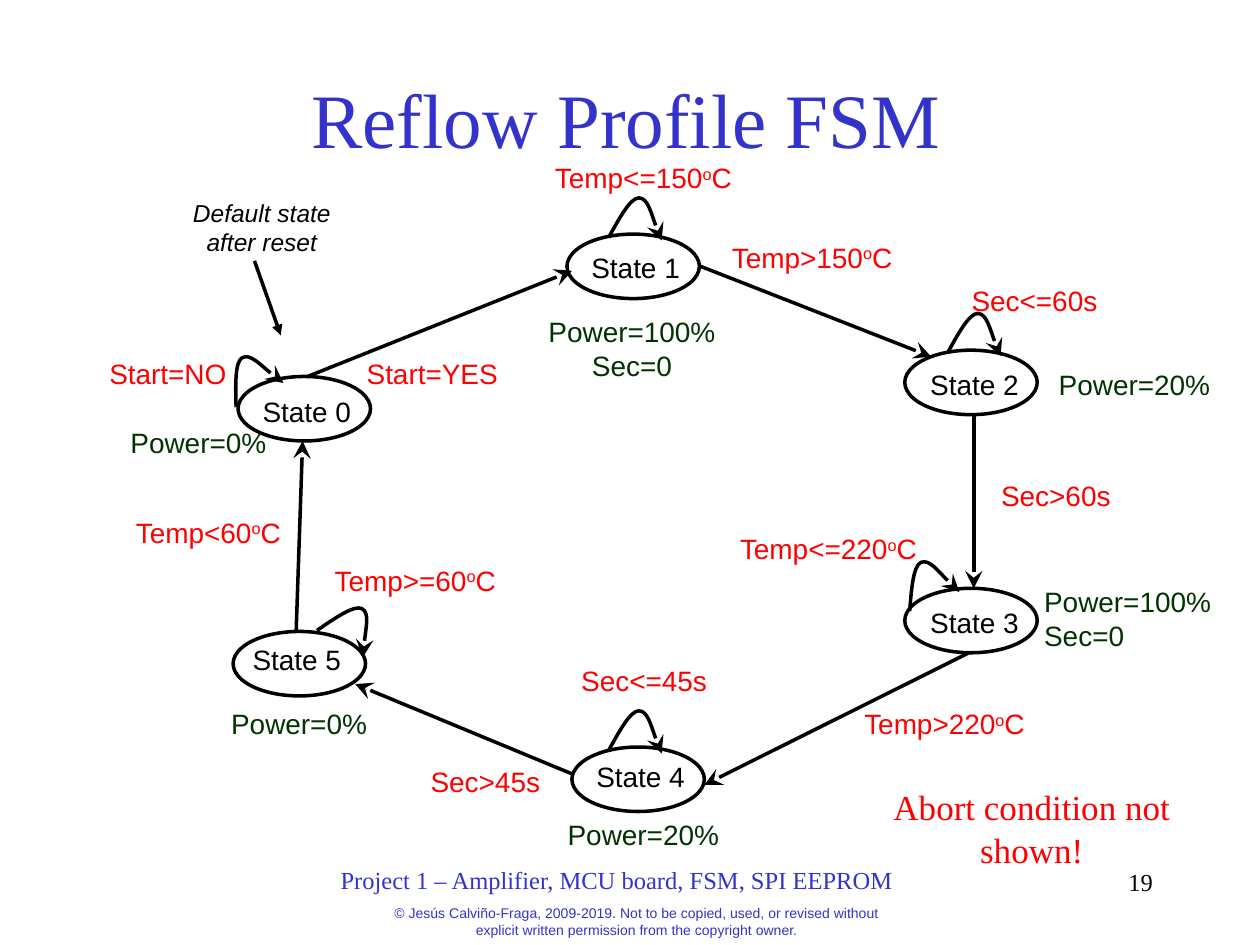
from lxml import etree
from pptx import Presentation
from pptx.dml.color import RGBColor
from pptx.enum.shapes import MSO_CONNECTOR, MSO_SHAPE
from pptx.enum.text import MSO_ANCHOR, PP_ALIGN
from pptx.oxml.ns import qn
from pptx.util import Cm, Pt

STRAIGHT = MSO_CONNECTOR.STRAIGHT
OVAL = MSO_SHAPE.OVAL
MIDDLE = MSO_ANCHOR.MIDDLE
LEFT, CENTER, RIGHT = PP_ALIGN.LEFT, PP_ALIGN.CENTER, PP_ALIGN.RIGHT

COLORS = {"ink": "000000", "condition": "FF0000", "output": "003300", "heading": "3333CC"}
SANS, SERIF = "Arial", "Times New Roman"
LINE_HEIGHT = 0.94
STATE_WIDTH, STATE_HEIGHT = 2.67, 1.3

# All positions are in centimetres.
# State name, left and top of its ellipse, left and top of its label
STATES = [
    ("State 0", 4.8, 7.59, 4.9, 7.82),
    ("State 1", 11.43, 4.72, 11.53, 4.93),
    ("State 2", 18.24, 7.06, 18.36, 7.29),
    ("State 3", 18.24, 11.86, 18.36, 12.09),
    ("State 4", 11.53, 15.06, 11.63, 15.19),
    ("State 5", 4.7, 12.73, 4.7, 12.83),
]

# Start and end of each transition, in state order
TRANSITIONS = [
    (6.2, 7.59, 11.53, 5.46),
    (14.1, 5.36, 18.77, 7.19),
    (19.63, 8.36, 19.63, 11.86),
    (19.53, 13.16, 14.2, 15.82),
    (11.53, 15.6, 7.16, 13.79),
    (5.97, 12.73, 6.1, 8.89),
]

# Left, top and rotation of the loop at each state
SELF_LOOPS = [
    (4.5, 7.19, 329.7),
    (12.27, 3.99, 0),
    (19.1, 6.32, 0),
    (18.14, 11.33, 335.8),
    (12.27, 14.33, 0),
    (6.5, 12.19, 26.8),
]
# Start point, then two Bezier segments of three points each
LOOP_CURVE = [(0, 0.8), (0.22, 0.4), (0.44, 0), (0.61, 0),
              (0.79, 0), (0.99, 0.71), (1.07, 0.86)]

# Text, left, top, width; "^" raises the letter that follows it
CONDITIONS = [
    ("Start=NO", 1.3, 7.06, 4.17),
    ("Start=YES", 6.63, 7.06, 4.17),
    ("Temp<=150^oC", 10.57, 3.12, 4.8),
    ("Temp>150^oC", 13.97, 4.72, 4.8),
    ("Sec<=60s", 18.77, 5.59, 4.17),
    ("Sec>60s", 19.2, 9.53, 4.17),
    ("Temp<=220^oC", 14.2, 10.59, 5),
    ("Temp>220^oC", 16.54, 14.12, 5),
    ("Sec<=45s", 10.9, 13.26, 4.17),
    ("Sec>45s", 7.7, 15.29, 4.17),
    ("Temp>=60^oC", 6.4, 11.23, 3.94),
    ("Temp<60^oC", 1.7, 10.26, 5),
]

# Text, left, top, alignment
OUTPUTS = [
    ("Power=0%", 2.03, 8.46, CENTER),
    ("Power=100%\nSec=0", 10.77, 6.22, CENTER),
    ("Power=20%", 20.9, 7.29, CENTER),
    ("Power=100%\nSec=0", 20.8, 11.66, LEFT),
    ("Power=20%", 11, 16.36, CENTER),
    ("Power=0%", 4.06, 14.12, CENTER),
]

# Text, place, format
NOTES = [
    ("Default state after reset", (3.3, 3.86, 3.96, 1.45),
     {"size": 14, "italic": True, "before": 8.8}),
    ("Abort condition not shown!", (17.6, 15.72, 6.4, 1.96),
     {"size": 20, "name": SERIF, "color": "condition", "before": 12.5}),
    ("Project 1 – Amplifier, MCU board, FSM, SPI EEPROM", (5.6, 17.32, 13.67, 0.81),
     {"size": 14, "name": SERIF, "color": "heading"}),
    ("19", (18.21, 17.35, 5.28, 1.27), {"size": 14, "name": SERIF, "align": RIGHT}),
    ("© Jesús Calviño-Fraga, 2009-2019. Not to be copied, used, or revised without "
     "explicit written permission from the copyright owner.",
     (7.62, 18.11, 10.44, LINE_HEIGHT), {"size": 8, "color": "heading", "before": 5}),
]


def rgb(color):
    return RGBColor.from_string(COLORS[color])


def write_text(frame, text, size=16, name=SANS, color="ink", align=CENTER,
               before=0, italic=False):
    """Fill a text frame, one paragraph for each line."""
    frame.word_wrap = True
    values = {"size": Pt(size), "name": name, "italic": italic}
    for index, line in enumerate(text.split("\n")):
        para = frame.paragraphs[0] if index == 0 else frame.add_paragraph()
        para.alignment = align
        para.space_before = Pt(before)
        base, _, rest = line.partition("^")
        for part, raised in ((base, False), (rest[:1], True), (rest[1:], False)):
            if not part:
                continue
            span = para.add_run()
            span.text = part
            for key, value in values.items():
                setattr(span.font, key, value)
            span.font.color.rgb = rgb(color)
            if raised:
                span._r.get_or_add_rPr().set("baseline", "30000")


def add_text(slide, text, place, **format_values):
    box = slide.shapes.add_textbox(*map(Cm, place))
    write_text(box.text_frame, text, **format_values)


def style_line(shape, head=None, head_size="lg"):
    shape.line.color.rgb = rgb("ink")
    shape.line.width = Pt(2)
    if head:
        line = shape.line._get_or_add_ln()
        etree.SubElement(line, qn("a:tailEnd"), type=head, w=head_size, len=head_size)


def add_arrow(slide, points, head="stealth", head_size="lg"):
    arrow = slide.shapes.add_connector(STRAIGHT, *map(Cm, points))
    style_line(arrow, head, head_size)
    etree.SubElement(arrow._element.spPr, qn("a:effectLst"))


def add_state(slide, left, top):
    state = slide.shapes.add_shape(OVAL, *map(Cm, (left, top, STATE_WIDTH, STATE_HEIGHT)))
    state.shadow.inherit = False
    state.fill.background()
    style_line(state)


def add_self_loop(slide, left, top, rotation):
    start, *points = [(Cm(x), Cm(y)) for x, y in LOOP_CURVE]
    builder = slide.shapes.build_freeform(*start)
    builder.add_line_segments(points, close=False)
    loop = builder.convert_to_shape(Cm(left), Cm(top))
    # Turn every three straight segments into one Bezier curve
    segments = list(loop._element.iter(qn("a:lnTo")))
    outline = segments[0].getparent()
    for first in range(0, len(segments), 3):
        curve = etree.SubElement(outline, qn("a:cubicBezTo"))
        for segment in segments[first:first + 3]:
            curve.append(segment[0])
            outline.remove(segment)
    loop.rotation = rotation
    loop.shadow.inherit = False
    loop.fill.background()
    style_line(loop, "stealth")


def set_title(slide, text):
    title = slide.shapes.title
    place = {"left": 1.83, "top": 0.79, "width": 21.59, "height": 3.18}
    for key, value in place.items():
        setattr(title, key, Cm(value))
    title.text_frame.vertical_anchor = MIDDLE
    write_text(title.text_frame, text, size=44, name=SERIF, color="heading")


def main():
    deck = Presentation()
    deck.slide_width, deck.slide_height = Cm(25.4), Cm(19.05)
    slide = deck.slides.add_slide(deck.slide_layouts[5])
    set_title(slide, "Reflow Profile FSM")

    # States and transitions
    for points in TRANSITIONS:
        add_arrow(slide, points)
    for name, left, top, label_left, label_top in STATES:
        add_state(slide, left, top)
        add_text(slide, name, (label_left, label_top, 2.57, LINE_HEIGHT), before=10)
    for loop in SELF_LOOPS:
        add_self_loop(slide, *loop)

    # Conditions and outputs
    for text, left, top, width in CONDITIONS:
        add_text(slide, text, (left, top, width, LINE_HEIGHT), color="condition", before=10)
    for text, left, top, align in OUTPUTS:
        height = 1.63 if "\n" in text else LINE_HEIGHT
        add_text(slide, text, (left, top, 3.94, height), color="output", align=align)

    # Reset pointer, notes and footer
    add_arrow(slide, (5.13, 5.26, 5.66, 6.76), "triangle", "med")
    for text, place, format_values in NOTES:
        add_text(slide, text, place, **format_values)

    deck.save("out.pptx")


if __name__ == "__main__":
    main()
